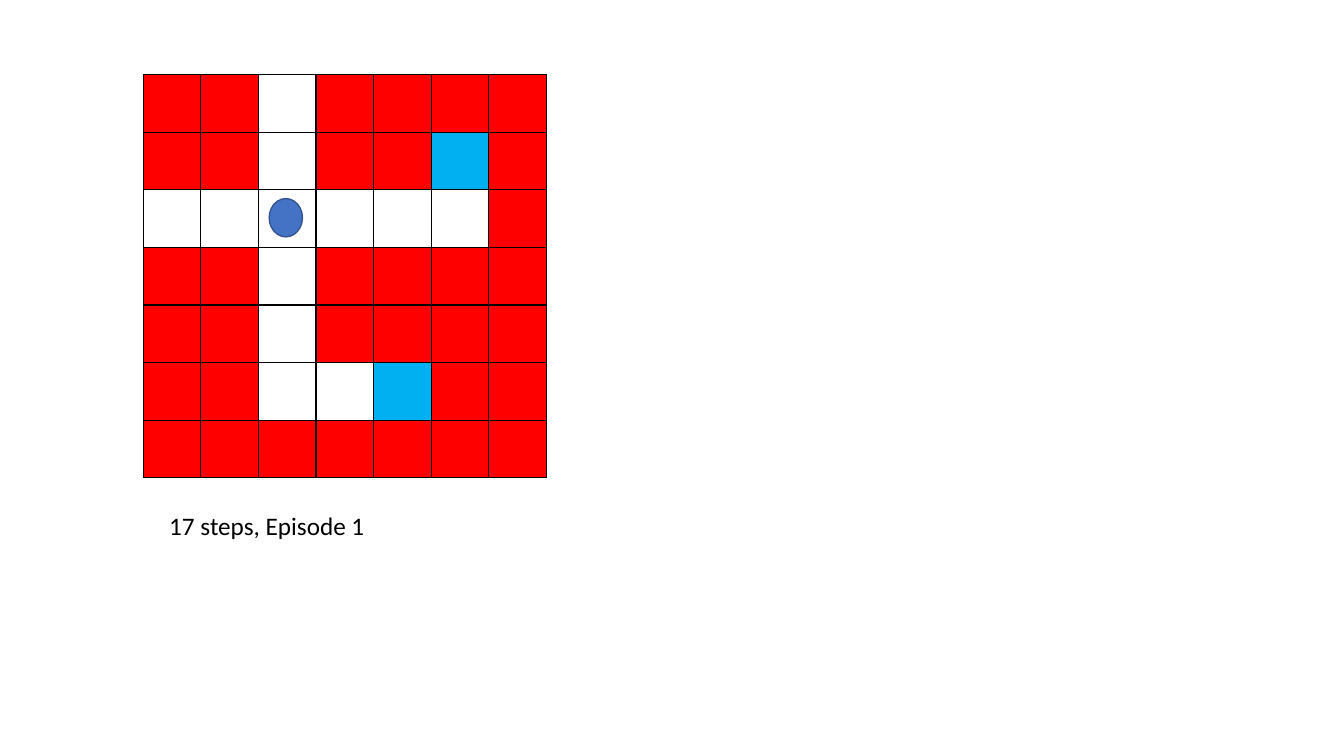
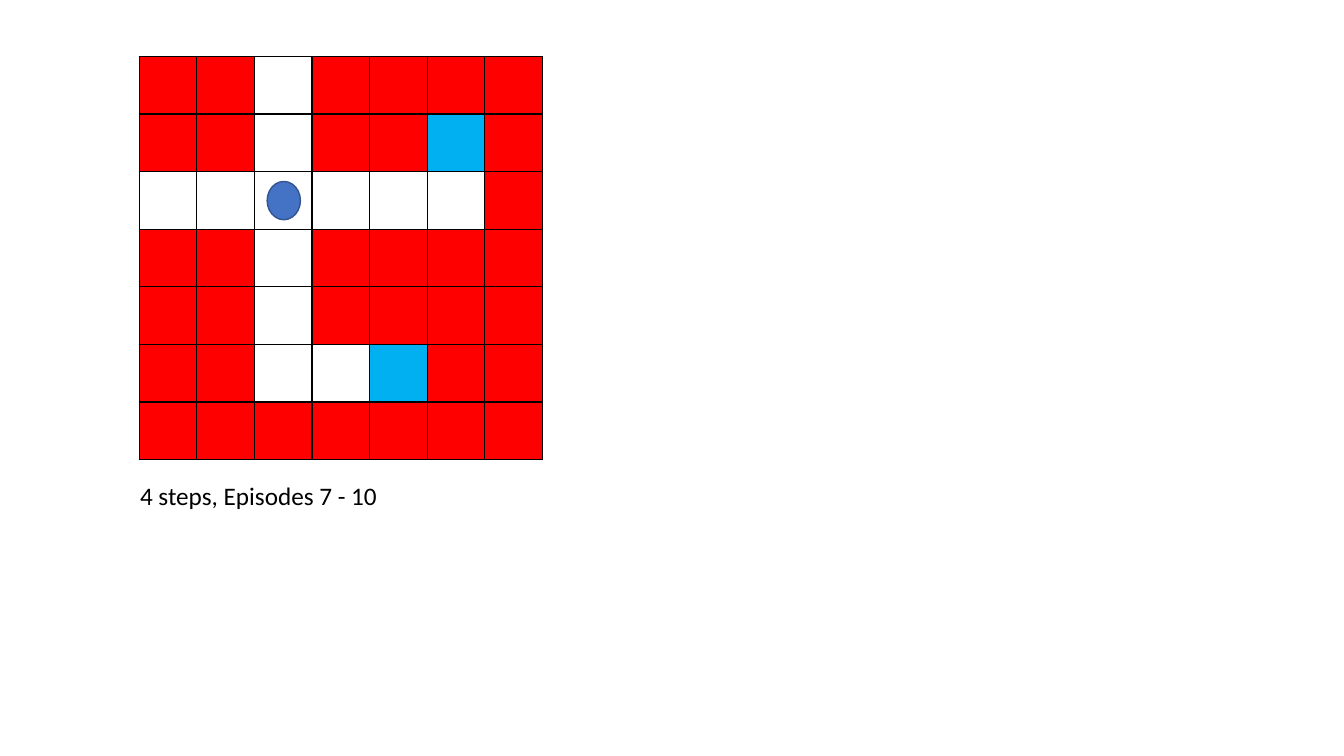
import pptx
import pptx.util
import pptx.dml.color
import pptx.enum.shapes
import pptx.enum.text
import pptx.oxml.ns
import lxml.etree
import dataclasses

Inches = pptx.util.Inches

# Content: W wall, F floor, G goal
MAZE = (
    "WWFWWWW",
    "WWFWWGW",
    "FFFFFFW",
    "WWFWWWW",
    "WWFWWWW",
    "WWFFGWW",
    "WWWWWWW",
)
RUNS = (
    {"text": "17 steps, Episode 1", "grid": (1.42, 0.74),
     "agent": (2.67, 1.97), "label": (1.58, 5.01)},
    {"text": "4 steps, Episodes 7 - 10", "grid": (1.38, 0.56),
     "agent": (2.65, 1.8), "label": (1.29, 4.72)},
)
SIDE = 4
AGENT = (0.33, 0.38)
LABEL = (3.69, 0.4)


@dataclasses.dataclass(frozen=True)
class Theme:
    """Colours, font and sizes shared by all slides."""
    wall: str = "FF0000"
    floor: str = "FFFFFF"
    goal: str = "00B0F0"
    agent: str = "4472C4"
    edge: str = "325491"
    ink: str = "000000"
    font: str = "Calibri"
    size: int = 18
    line: int = 1


THEME = Theme()
FILLS = {"W": THEME.wall, "F": THEME.floor, "G": THEME.goal}


def rgb(code):
    """Turn a hex code into a colour."""
    return pptx.dml.color.RGBColor.from_string(code)


def paint(item, code):
    """Give a shape or cell a solid fill."""
    item.fill.solid()
    item.fill.fore_color.rgb = rgb(code)


def border(cell, code, width):
    """Draw a line on all four sides of a cell."""
    qn = pptx.oxml.ns.qn
    props = cell._tc.get_or_add_tcPr()
    for side in ("lnL", "lnR", "lnT", "lnB"):
        line = lxml.etree.SubElement(
            props, qn("a:" + side), w=str(pptx.util.Pt(width)))
        fill = lxml.etree.SubElement(line, qn("a:solidFill"))
        lxml.etree.SubElement(fill, qn("a:srgbClr"), val=code)


def add_text(slide, text, spot, area, size=THEME.size, color=THEME.ink,
             font=THEME.font):
    """Add a wrapped text box that grows with its text."""
    box = slide.shapes.add_textbox(*map(Inches, spot + area))
    frame = box.text_frame
    frame.word_wrap = True
    frame.auto_size = pptx.enum.text.MSO_AUTO_SIZE.SHAPE_TO_FIT_TEXT
    run = frame.paragraphs[0].add_run()
    run.text = text
    run.font.size = pptx.util.Pt(size)
    run.font.name = font
    run.font.color.rgb = rgb(color)


def add_maze(slide, spot):
    """Add the maze as a table of square cells."""
    rows, cols = len(MAZE), len(MAZE[0])
    table = slide.shapes.add_table(
        rows, cols, *map(Inches, spot + (SIDE, SIDE))).table
    table.first_row = table.horz_banding = False
    for r, row in enumerate(MAZE):
        for c, kind in enumerate(row):
            cell = table.cell(r, c)
            border(cell, THEME.ink, THEME.line)
            paint(cell, FILLS[kind])


def add_agent(slide, spot):
    """Add the agent as an oval."""
    oval = slide.shapes.add_shape(
        pptx.enum.shapes.MSO_SHAPE.OVAL, *map(Inches, spot + AGENT))
    oval.shadow.inherit = False
    paint(oval, THEME.agent)
    oval.line.color.rgb = rgb(THEME.edge)
    oval.line.width = pptx.util.Pt(THEME.line)


def build():
    """Build one slide per run and save the deck."""
    deck = pptx.Presentation()
    deck.slide_width, deck.slide_height = Inches(13.33), Inches(7.5)
    for run in RUNS:
        slide = deck.slides.add_slide(deck.slide_layouts[6])
        add_maze(slide, run["grid"])
        add_agent(slide, run["agent"])
        add_text(slide, run["text"], run["label"], LABEL)
    deck.save("out.pptx")


build()
